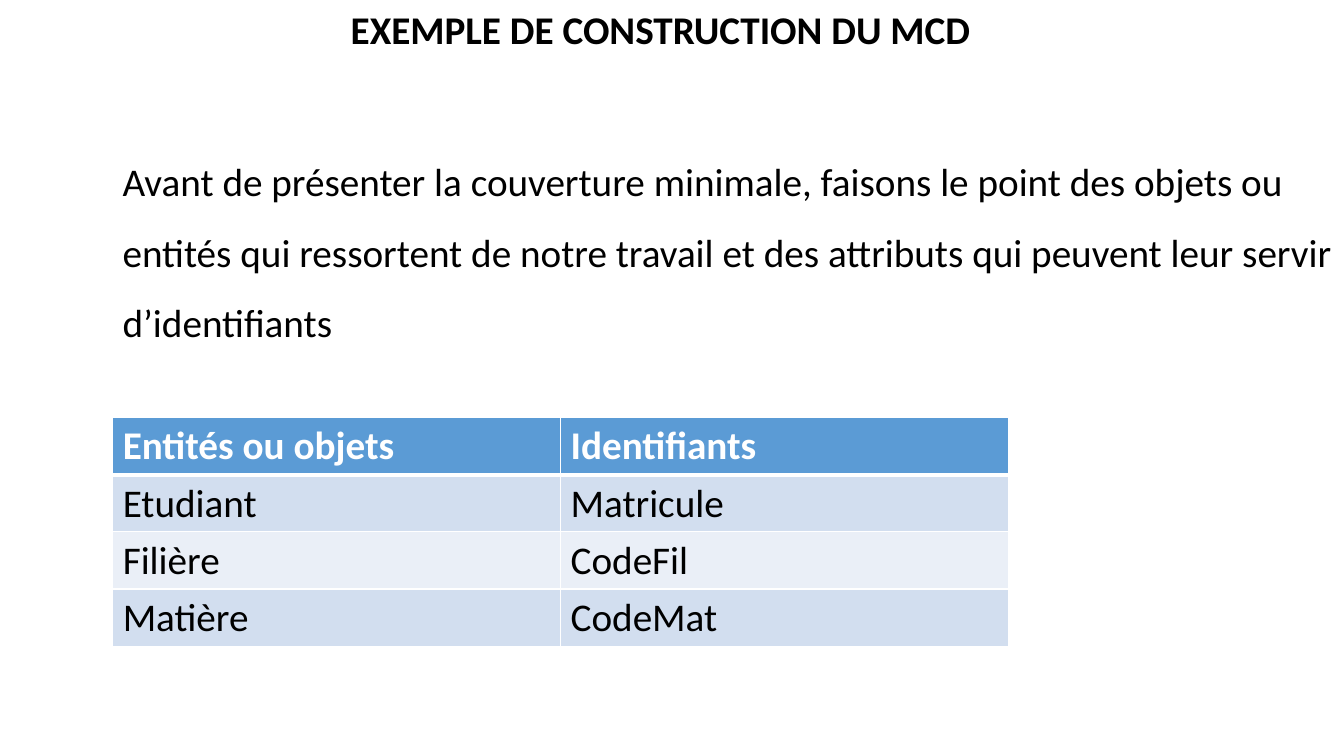
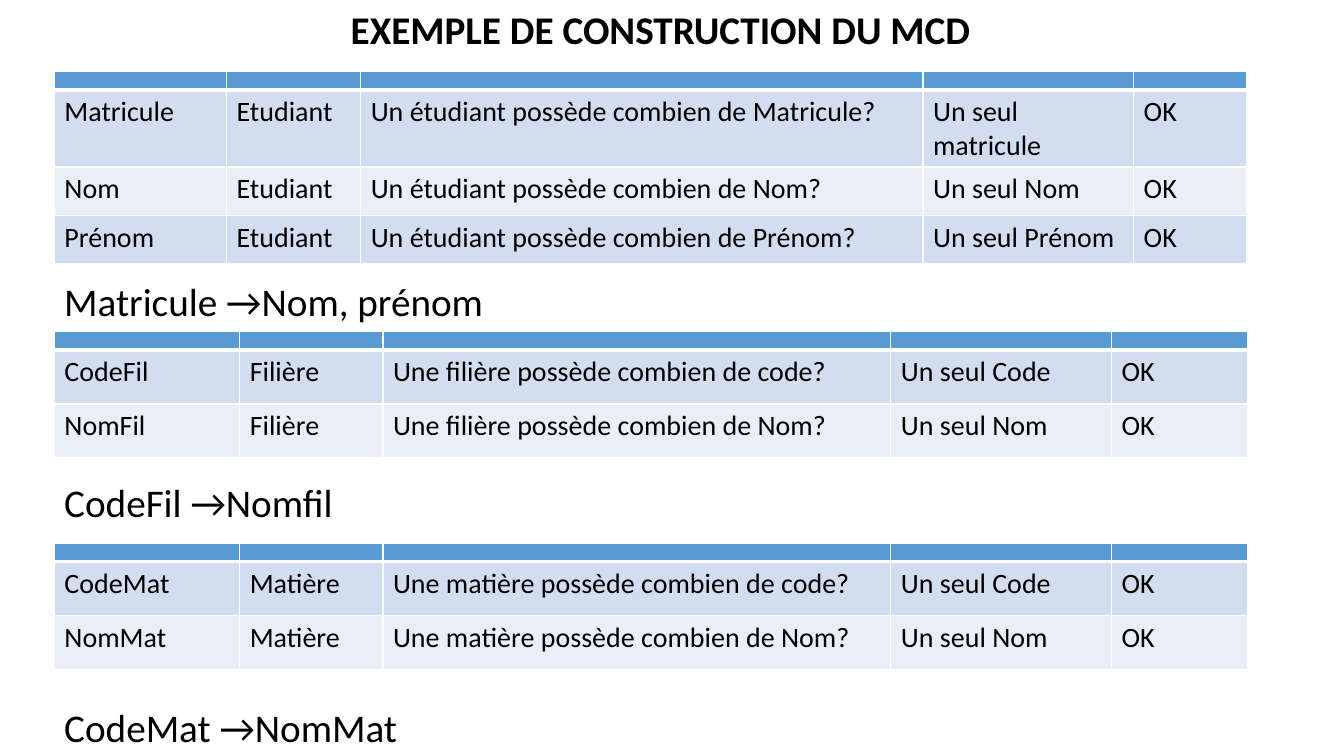
from lxml.etree import SubElement
from pptx import Presentation
from pptx.dml.color import RGBColor
from pptx.enum.text import PP_ALIGN
from pptx.oxml.ns import qn
from pptx.util import Cm, Pt


def tint(code):
    return RGBColor.from_string(code)


class Deck:
    font = "Calibri"
    black, white = "000000", "FFFFFF"
    head, bands = "5B9BD5", ("D2DEEF", "EAEFF7")
    big, small = 28, 20
    thin, thick = 1, 3

    def __init__(self):
        self.prs = Presentation()
        self.prs.slide_width = Cm(33.87)
        self.prs.slide_height = Cm(19.05)
        self.slide = None

    def page(self, title):
        self.slide = self.prs.slides.add_slide(self.prs.slide_layouts[6])
        self.text(title, 2.24, 0, 28.8, bold=True, align=PP_ALIGN.CENTER)

    def run(self, para, words, size, color, bold=False):
        run = para.add_run()
        run.text = words
        run.font.name = self.font
        run.font.size = Pt(size)
        run.font.bold = bold
        run.font.color.rgb = tint(color)

    def text(self, words, left, top, width, height=1.45, bold=False,
             align=PP_ALIGN.LEFT, space=1.0):
        box = self.slide.shapes.add_textbox(Cm(left), Cm(top), Cm(width), Cm(height))
        box.text_frame.word_wrap = True
        para = box.text_frame.paragraphs[0]
        para.alignment = align
        para.line_spacing = space
        self.run(para, words, self.big, self.black, bold)

    def edges(self, cell, row):
        props = cell._tc.get_or_add_tcPr()
        widths = {"L": self.thin, "R": self.thin,
                  "T": self.thick if row == 1 else self.thin,
                  "B": self.thick if row == 0 else self.thin}
        for side, width in widths.items():
            line = SubElement(props, qn(f"a:ln{side}"), w=str(Pt(width)))
            fill = SubElement(line, qn("a:solidFill"))
            SubElement(fill, qn("a:srgbClr"), val=self.white)

    def cell(self, cell, row, words, size):
        self.edges(cell, row)
        cell.fill.solid()
        cell.fill.fore_color.rgb = tint(self.bands[(row - 1) % 2] if row else self.head)
        para = cell.text_frame.paragraphs[0]
        if words:
            self.run(para, words, size, self.black if row else self.white, row == 0)
        else:
            cell.margin_top = cell.margin_bottom = 0
            SubElement(para._p, qn("a:endParaRPr"), sz="800")

    def table(self, rows, left, top, cols, highs, size):
        frame = self.slide.shapes.add_table(
            len(rows), len(cols), Cm(left), Cm(top), Cm(sum(cols)), Cm(sum(highs)))
        grid = frame.table
        for col, width in zip(grid.columns, cols):
            col.width = Cm(width)
        for r, (row, high) in enumerate(zip(rows, highs)):
            grid.rows[r].height = Cm(high)
            for c, words in enumerate(row):
                self.cell(grid.cell(r, c), r, words, size)

    def checks(self, entity, asked, items, top, cols, highs):
        rows = [[""] * len(cols)]
        for name, noun, answer in items:
            rows.append([name, entity, f"{asked} possède combien de {noun}?",
                         f"Un seul {answer}", "OK"])
        self.table(rows, 1.37, top, cols, [0.46] + highs, self.small)

    def save(self):
        self.prs.save("out.pptx")


def main():
    title = "EXEMPLE DE CONSTRUCTION DU MCD"
    deck = Deck()

    deck.page(title)
    deck.text("Avant de présenter la couverture minimale, faisons le point des objets ou "
              "entités qui ressortent de notre travail et des attributs qui peuvent leur "
              "servir d’identifiants", 2.84, 3.25, 31.06, 5.46, space=1.5)
    deck.table([("Entités ou objets", "Identifiants"), ("Etudiant", "Matricule"),
                ("Filière", "CodeFil"), ("Matière", "CodeMat")],
               2.84, 10.52, [11.29] * 2, [1.44] * 4, deck.big)

    deck.page(title)
    deck.checks("Etudiant", "Un étudiant",
                [("Matricule", "Matricule", "matricule"), ("Nom", "Nom", "Nom"),
                 ("Prénom", "Prénom", "Prénom")],
                1.8, [4.34, 3.38, 14.17, 5.31, 2.84], [1.93, 1.22, 1.22])
    for entity, short, top in (("Filière", "Fil", 8.36), ("Matière", "Mat", 13.69)):
        deck.checks(entity, f"Une {entity.lower()}",
                    [(f"Code{short}", "code", "Code"), (f"Nom{short}", "Nom", "Nom")],
                    top, [4.67, 3.61, 12.8, 5.56, 3.43], [1.36] * 2)
    for rule, top in (("Matricule →Nom, prénom", 6.86), ("CodeFil →Nomfil", 11.94),
                      ("CodeMat →NomMat", 17.6)):
        deck.text(rule, 1.37, top, 14)

    deck.save()


if __name__ == "__main__":
    main()
